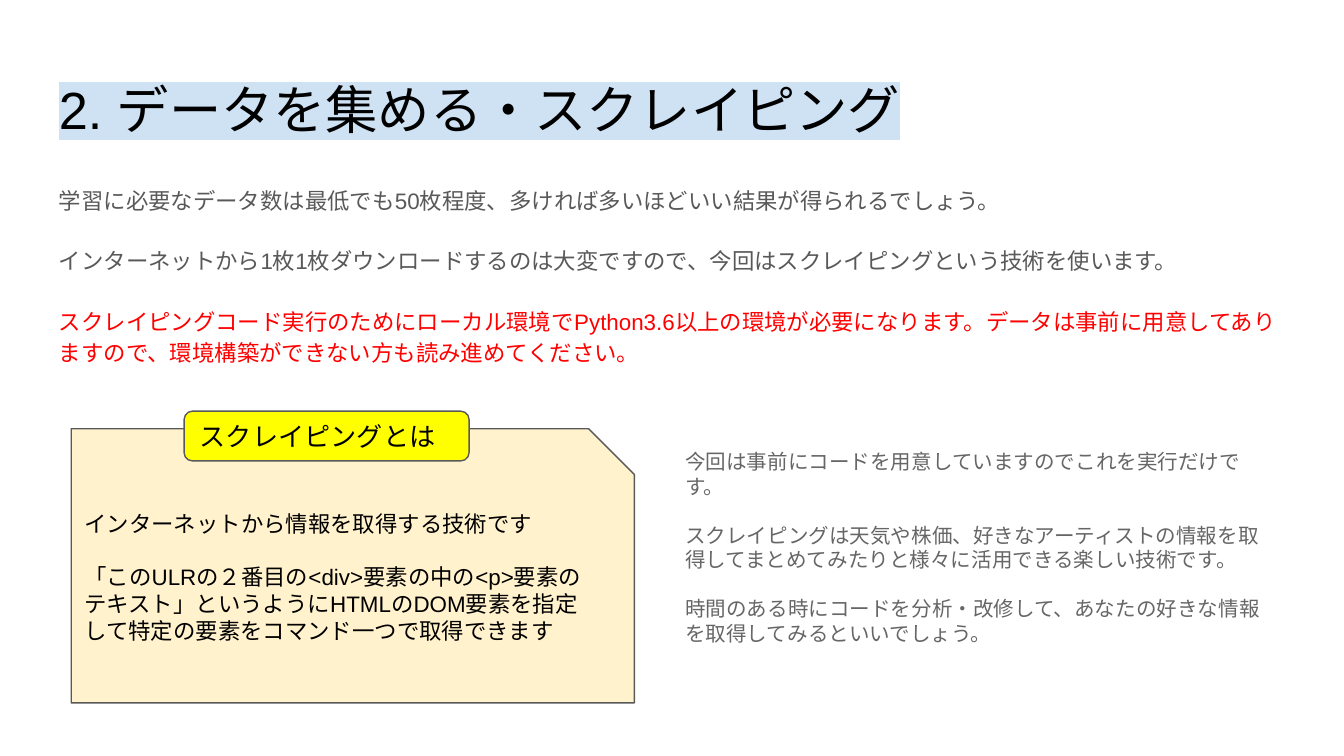
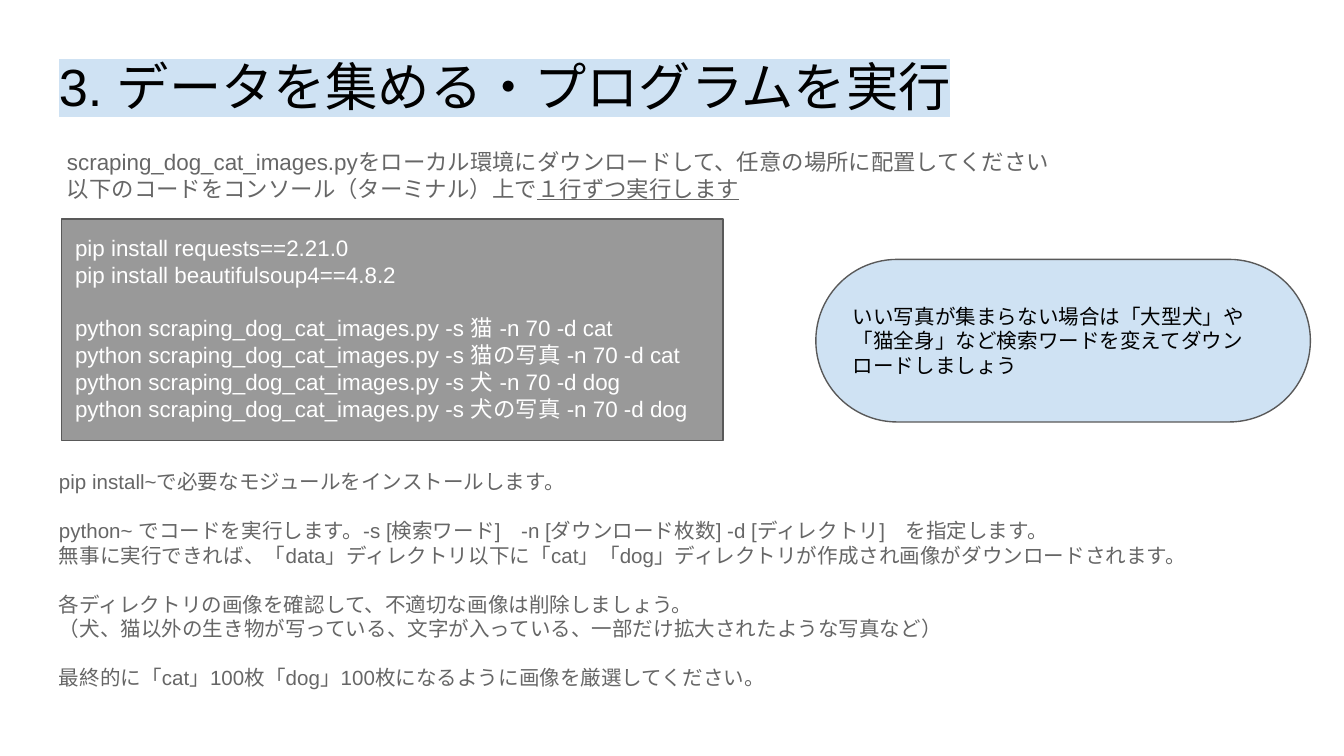
from lxml import etree
from pptx import Presentation
from pptx.dml.color import RGBColor
from pptx.enum import shapes, text
from pptx.oxml.ns import qn
from pptx.util import Inches, Pt

FONT = "Arial"
BLACK = RGBColor(0x00, 0x00, 0x00)
WHITE = RGBColor(0xFF, 0xFF, 0xFF)
RED = RGBColor(0xFF, 0x00, 0x00)
YELLOW = RGBColor(0xFF, 0xFF, 0x00)
CREAM = RGBColor(0xFF, 0xF2, 0xCC)
PALE_BLUE = RGBColor(0xCF, 0xE2, 0xF3)
SILVER = RGBColor(0x99, 0x99, 0x99)
GREY = RGBColor(0x66, 0x66, 0x66)
DARK_GREY = RGBColor(0x59, 0x59, 0x59)


def add_text(page, place, blocks, size=11, color=GREY, gap=13, spacing=None,
             highlight=None, anchor=text.MSO_ANCHOR.TOP, shape=None, fill=None, corner=None):
    place = [Inches(length) for length in place]
    if shape is None:
        box = page.shapes.add_textbox(*place)
    else:
        box = page.shapes.add_shape(shape, *place)
        box.shadow.inherit = False
        box.fill.solid()
        box.fill.fore_color.rgb = fill
        box.line.color.rgb = DARK_GREY
        box.line.width = Pt(0.75)
        anchor = text.MSO_ANCHOR.MIDDLE
        if corner is not None:
            box.adjustments[0] = corner
    frame = box.text_frame
    frame.word_wrap = True
    frame.vertical_anchor = anchor
    frame.margin_left = frame.margin_right = Inches(0.1)
    frame.margin_top = frame.margin_bottom = Inches(0.1)
    for block_index, block in enumerate(blocks):
        for line_index, line in enumerate(block):
            first = block_index == line_index == 0
            para = frame.paragraphs[0] if first else frame.add_paragraph()
            para.alignment = text.PP_ALIGN.LEFT
            para._p.get_or_add_pPr().set("hangingPunct", "0")
            if spacing:
                para.line_spacing = spacing
            if block_index and not line_index:
                para.space_before = Pt(gap)
            for words, look in [(line, {})] if isinstance(line, str) else line:
                span = para.add_run()
                span.text = words
                span.font.name = FONT
                span.font.size = Pt(size)
                span.font.color.rgb = look.get("color", color)
                if look.get("underline"):
                    span.font.underline = True
                east_asian = etree.Element(qn("a:ea"))
                east_asian.set("typeface", FONT)
                span.font._element.find(qn("a:latin")).addnext(east_asian)
                if highlight is not None:
                    mark = etree.Element(qn("a:highlight"))
                    etree.SubElement(mark, qn("a:srgbClr")).set("val", str(highlight))
                    span.font._element.find(qn("a:solidFill")).addnext(mark)
    return box


deck = Presentation()
deck.slide_width = Inches(10)
deck.slide_height = deck.slide_width * 9 // 16

pages = []
for title, top in [("2. データを集める・スクレイピング", 0.49),
                   ("3. データを集める・プログラムを実行", 0.32)]:
    page = deck.slides.add_slide(deck.slide_layouts[6])
    add_text(page, (0.34, top, 9.32, 0.63), [[title]], size=28, color=BLACK,
             highlight=PALE_BLUE, anchor=text.MSO_ANCHOR.MIDDLE)
    pages.append(page)
scraping_page, program_page = pages

add_text(scraping_page, (0.34, 1.26, 9.32, 4.28), [
    ["学習に必要なデータ数は最低でも50枚程度、多ければ多いほどいい結果が得られるでしょう。"],
    ["インターネットから1枚1枚ダウンロードするのは大変ですので、今回はスクレイピングという技術を使います。"],
    [[("スクレイピングコード実行のためにローカル環境でPython3.6以上の環境が必要になります。"
       "データは事前に用意してありますので、環境構築ができない方も読み進めてください。", {"color": RED})]],
], size=12, color=DARK_GREY, gap=16, spacing=1.15)

add_text(scraping_page, (0.53, 3.19, 4.19, 2.04), [
    ["インターネットから情報を取得する技術です"],
    ["「このULRの２番目の<div>要素の中の<p>要素のテキスト」というように"
     "HTMLのDOM要素を指定して特定の要素をコマンド一つで取得できます"],
], size=12, color=BLACK, gap=14,
    shape=shapes.MSO_SHAPE.SNIP_1_RECTANGLE, fill=CREAM, corner=0.167)

add_text(scraping_page, (1.37, 3.06, 2.12, 0.37), [["スクレイピングとは"]], size=14, color=BLACK,
         shape=shapes.MSO_SHAPE.ROUNDED_RECTANGLE, fill=YELLOW, corner=0.167)

add_text(scraping_page, (5, 3.24, 4.56, 1.99), [
    ["今回は事前にコードを用意していますのでこれを実行だけです。"],
    ["スクレイピングは天気や株価、好きなアーティストの情報を取得してまとめてみたりと様々に活用できる楽しい技術です。"],
    ["時間のある時にコードを分析・改修して、あなたの好きな情報を取得してみるといいでしょう。"],
])

searches = [("猫", "cat"), ("猫の写真", "cat"), ("犬", "dog"), ("犬の写真", "dog")]
console = add_text(program_page, (0.46, 1.63, 4.92, 1.65), [
    ["pip install requests==2.21.0", "pip install beautifulsoup4==4.8.2"],
    [f"python scraping_dog_cat_images.py -s {word} -n 70 -d {folder}" for word, folder in searches],
], size=12, color=WHITE, gap=14, shape=shapes.MSO_SHAPE.RECTANGLE, fill=SILVER)
console.text_frame.margin_bottom = Inches(0.13)

add_text(program_page, (0.34, 3.39, 9.19, 2.02), [
    ["pip install~で必要なモジュールをインストールします。"],
    ["python~ でコードを実行します。-s [検索ワード]　-n [ダウンロード枚数] -d [ディレクトリ]　を指定します。",
     "無事に実行できれば、「data」ディレクトリ以下に「cat」「dog」ディレクトリが作成され画像がダウンロードされます。"],
    ["各ディレクトリの画像を確認して、不適切な画像は削除しましょう。",
     "（犬、猫以外の生き物が写っている、文字が入っている、一部だけ拡大されたような写真など）"],
    ["最終的に「cat」100枚「dog」100枚になるように画像を厳選してください。"],
])

add_text(program_page, (0.4, 1, 9.19, 0.63), [[
    "scraping_dog_cat_images.pyをローカル環境にダウンロードして、任意の場所に配置してください",
    [("以下のコードをコンソール（ターミナル）上で", {}), ("１行ずつ実行します", {"underline": True})],
]], size=12)

add_text(program_page, (6.07, 1.93, 3.68, 1.21), [
    ["いい写真が集まらない場合は「大型犬」や「猫全身」など検索ワードを変えてダウンロードしましょう"],
], color=BLACK, shape=shapes.MSO_SHAPE.ROUNDED_RECTANGLE, fill=PALE_BLUE, corner=0.5)

deck.save("out.pptx")
